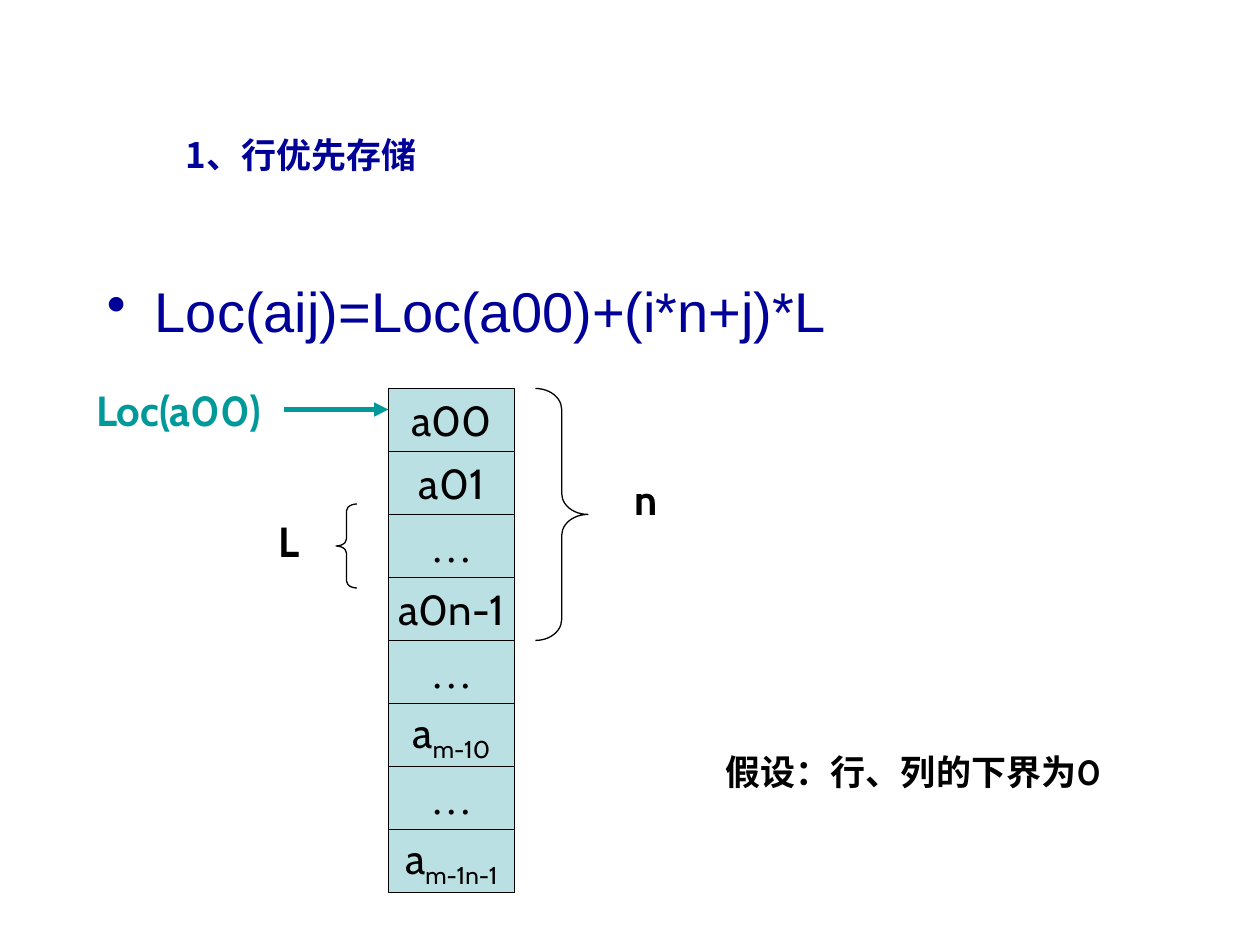
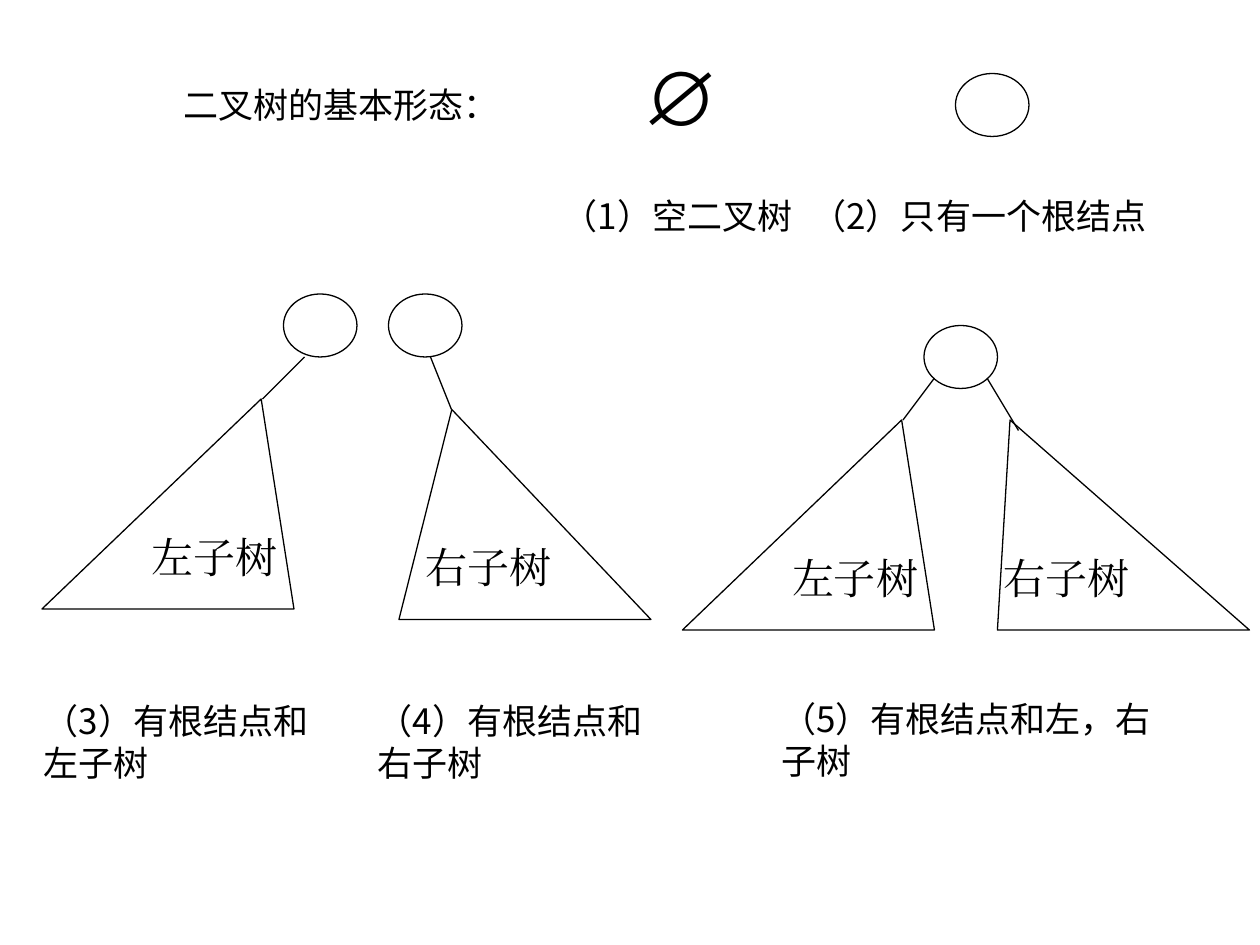
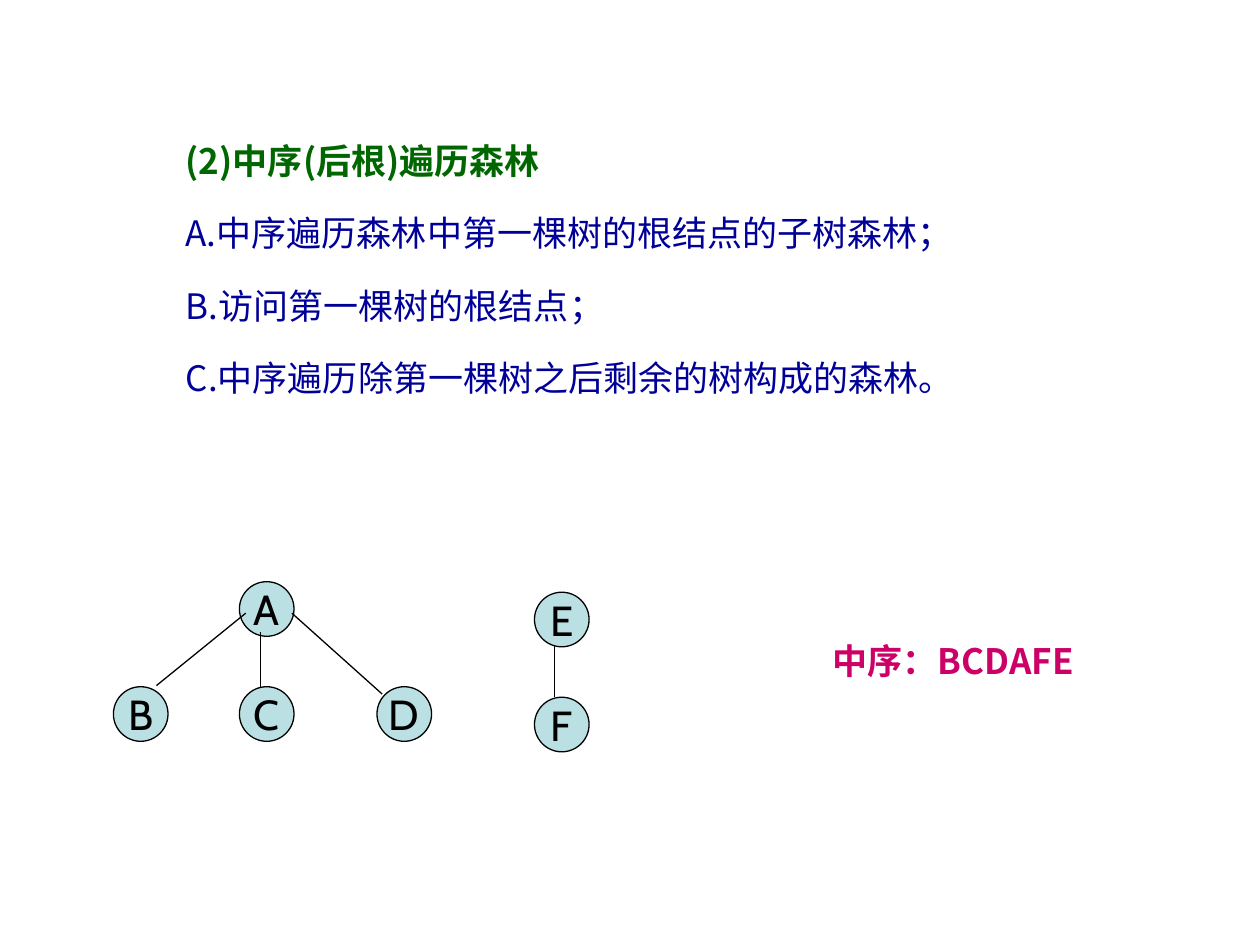
from typing import NamedTuple

from lxml import etree
from pptx import Presentation
from pptx.dml.color import RGBColor
from pptx.enum.shapes import MSO_CONNECTOR, MSO_SHAPE
from pptx.enum.text import MSO_ANCHOR, PP_ALIGN
from pptx.oxml.ns import qn
from pptx.util import Inches, Pt

RECT, OVAL, CONE = MSO_SHAPE.RECTANGLE, MSO_SHAPE.OVAL, MSO_SHAPE.ISOSCELES_TRIANGLE
LEFT, RIGHT = MSO_SHAPE.LEFT_BRACE, MSO_SHAPE.RIGHT_BRACE
LINE = MSO_CONNECTOR.STRAIGHT
MIDDLE, TOP, CENTER = MSO_ANCHOR.MIDDLE, MSO_ANCHOR.TOP, PP_ALIGN.CENTER

COLS, ROWS = 120, 90  # twelve grid units to the inch
INK = {
    "black": "000000", "white": "FFFFFF", "navy": "000099", "teal": "009999",
    "green": "006600", "pink": "CC0066", "pale": "BBE0E3",
}
HAN, LATIN, SERIF, SANS = "Noto Sans CJK SC", "Cabin", "Times New Roman", "Arial"


class Box(NamedTuple):
    """A place in grid units."""
    x: float
    y: float
    w: float
    h: float


class Style(NamedTuple):
    size: float = 20
    face: str = HAN
    ink: str = "black"
    bold: bool = False


class Tree(NamedTuple):
    """A subtree drawn as a triangle; peak is the share of its width."""
    label: str
    x: float
    y: float
    peak: float


class Note(NamedTuple):
    words: str
    box: Box
    gap: float = 1.0


BODY = Style()
TITLE = Style(ink="navy", bold=True)
CELL = Style(24, LATIN)
DOTS = Style(24, SERIF)
MARK = Style(24, LATIN, bold=True)


def unit(n: float) -> int:
    return Inches(n / 12)


def place(box: Box) -> list[int]:
    return [unit(n) for n in box]


def color(name: str) -> RGBColor:
    return RGBColor.from_string(INK[name])


def dress(run, style: Style) -> None:
    font = run.font
    font.size, font.name, font.bold = Pt(style.size), style.face, style.bold
    font.color.rgb = color(style.ink)
    east = etree.SubElement(run._r.get_or_add_rPr(), qn("a:ea"))
    east.set("typeface", style.face)


def write(shape, words: str, style: Style, mid: bool = True, gap: float = 1.0) -> None:
    """Fill a shape with one paragraph, either centred or top left."""
    frame = shape.text_frame
    frame.word_wrap = not mid
    frame.vertical_anchor = MIDDLE if mid else TOP
    para = frame.paragraphs[0]
    para.text = words
    if mid:
        para.alignment = CENTER
    if gap != 1:
        para.line_spacing = gap
    for run in para.runs:
        dress(run, style)


def text(slide, words: str, box: Box, style: Style = BODY,
         mid: bool = False, gap: float = 1.0):
    shape = slide.shapes.add_textbox(*place(box))
    write(shape, words, style, mid, gap)
    return shape


def draw(slide, kind, box: Box, fill: str | None = "white", edge: str = "black"):
    shape = slide.shapes.add_shape(kind, *place(box))
    shape.shadow.inherit = False
    if fill:
        shape.fill.solid()
        shape.fill.fore_color.rgb = color(fill)
    else:
        shape.fill.background()
    shape.line.color.rgb = color(edge)
    shape.line.width = Pt(0.75)
    return shape


def join(slide, x1: float, y1: float, x2: float, y2: float,
         ink: str = "black", width: float = 0.75, arrow: bool = False) -> None:
    line = slide.shapes.add_connector(LINE, *(unit(n) for n in (x1, y1, x2, y2)))
    line.line.color.rgb = color(ink)
    line.line.width = Pt(width)
    props = line._element.spPr
    if arrow:
        etree.SubElement(props.find(qn("a:ln")), qn("a:tailEnd")).set("type", "triangle")
    etree.SubElement(props, qn("a:effectLst"))


def bullet(para, ink: str) -> None:
    props = para._p.get_or_add_pPr()
    props.set("marL", str(Inches(0.38)))
    props.set("indent", str(-Inches(0.38)))
    tint = etree.SubElement(props, qn("a:buClr"))
    etree.SubElement(tint, qn("a:srgbClr")).set("val", INK[ink])
    etree.SubElement(props, qn("a:buChar")).set("char", "•")


def arrays(slide) -> None:
    """Row-major storage of a matrix."""
    head = text(slide, "1、行优先存储", Box(16.5, 10.9, 59.8, 6.4), TITLE, gap=1.3)
    head.text_frame.vertical_anchor = MIDDLE
    rule = text(slide, "Loc(aij)=Loc(a00)+(i*n+j)*L", Box(9, 26.5, 108.5, 7.5),
                Style(32, SANS, "navy"), gap=0.9)
    bullet(rule.text_frame.paragraphs[0], "navy")

    left, top, wide, high = 37, 37, 12, 6
    cells = [("a00", ""), ("a01", ""), ("…", ""), ("a0n-1", ""),
             ("…", ""), ("a", "m-10"), ("…", ""), ("a", "m-1n-1")]
    for row, (name, sub) in enumerate(cells):
        cell = draw(slide, RECT, Box(left, top + row * high, wide, high), "pale")
        write(cell, name, DOTS if name == "…" else CELL)
        if sub:
            run = cell.text_frame.paragraphs[0].add_run()
            run.text = sub
            dress(run, CELL)
            run._r.get_or_add_rPr().set("baseline", "-25000")

    for kind, box, bend in ((RIGHT, Box(51, top, 5, 4 * high), 0.4),
                            (LEFT, Box(32, 48, 2, 8), 0.33)):
        draw(slide, kind, box, None).adjustments[0] = bend
    for words, box, style in (
            ("n", Box(58, 44, 7, 7), MARK),
            ("L", Box(24, 48, 7, 7), MARK),
            ("Loc(a00)", Box(8, 35, 18, 8), MARK._replace(ink="teal"))):
        write(draw(slide, RECT, box, "white", "white"), words, style)
    text(slide, "假设：行、列的下界为0", Box(59, 69, 56, 9),
         Style(face=LATIN, bold=True), mid=True)
    join(slide, 27, 39, left, 39, "teal", 2.75, True)


def forms(slide) -> None:
    """The five basic forms of a binary tree."""
    for x, y in ((91, 7), (27, 28), (37, 28), (88, 31)):
        draw(slide, OVAL, Box(x, y, 7, 6))
    for tree in (Tree("左子树", 4, 38, 0.87), Tree("右子树", 38, 39, 0.21),
                 Tree("右子树", 95, 40, 0.05), Tree("左子树", 65, 40, 0.87)):
        shape = draw(slide, CONE, Box(tree.x, tree.y, 24, 20))
        shape.adjustments[0] = tree.peak
        write(shape, tree.label, DOTS)
    for ends in ((29, 34, 25, 38), (41, 34, 43, 39),
                 (89, 36, 86, 40), (94, 36, 97, 41)):
        join(slide, *ends)
    text(slide, "∅", Box(60, 4, 8, 10), Style(44, SANS))
    for note in (Note("二叉树的基本形态：", Box(16.3, 6.2, 72, 6.5), 1.3),
                 Note("（1）空二叉树", Box(52.4, 16.7, 48.5, 6.5), 1.3),
                 Note("（2）只有一个根结点", Box(76.1, 16.7, 38, 6.5), 1.3),
                 Note("（3）有根结点和左子树", Box(3, 66, 29, 9.2)),
                 Note("（4）有根结点和右子树", Box(34.8, 66, 29, 9.2)),
                 Note("（5）有根结点和左，右子树", Box(73.2, 65.8, 39, 9.2))):
        text(slide, note.words, note.box, gap=note.gap)


def forest(slide) -> None:
    """Inorder walk of a forest."""
    steps = text(slide, "(2)中序(后根)遍历森林", Box(16.5, 11.9, 86.3, 28.3),
                 Style(ink="green", bold=True), gap=1.2)
    for words in ("A.中序遍历森林中第一棵树的根结点的子树森林；",
                  "B.访问第一棵树的根结点；",
                  "C.中序遍历除第一棵树之后剩余的树构成的森林。"):
        para = steps.text_frame.add_paragraph()
        para.text = words
        para.line_spacing, para.space_before = 1.2, Pt(12.5)
        dress(para.runs[0], Style(ink="navy"))

    for name, x, y in (("A", 22.8, 55.4), ("B", 10.8, 65.4), ("C", 22.8, 65.4),
                       ("D", 35.9, 65.4), ("E", 50.9, 56.4), ("F", 50.9, 66.4)):
        write(draw(slide, OVAL, Box(x, y, 5.2, 5.2), "pale"), name, CELL)
    for ends in ((23.4, 58.4, 14.9, 65.3), (24.8, 60.2, 24.8, 65.4),
                 (27.8, 58.4, 36.4, 66.1), (52.8, 61.4, 52.8, 66.4)):
        join(slide, *ends)
    text(slide, "中序：BCDAFE", Box(72.8, 58.4, 36, 9),
         Style(ink="pink", bold=True), mid=True)


def main() -> None:
    deck = Presentation()
    deck.slide_width, deck.slide_height = unit(COLS), unit(ROWS)
    for build in (arrays, forms, forest):
        build(deck.slides.add_slide(deck.slide_layouts[6]))
    deck.save("out.pptx")


if __name__ == "__main__":
    main()
